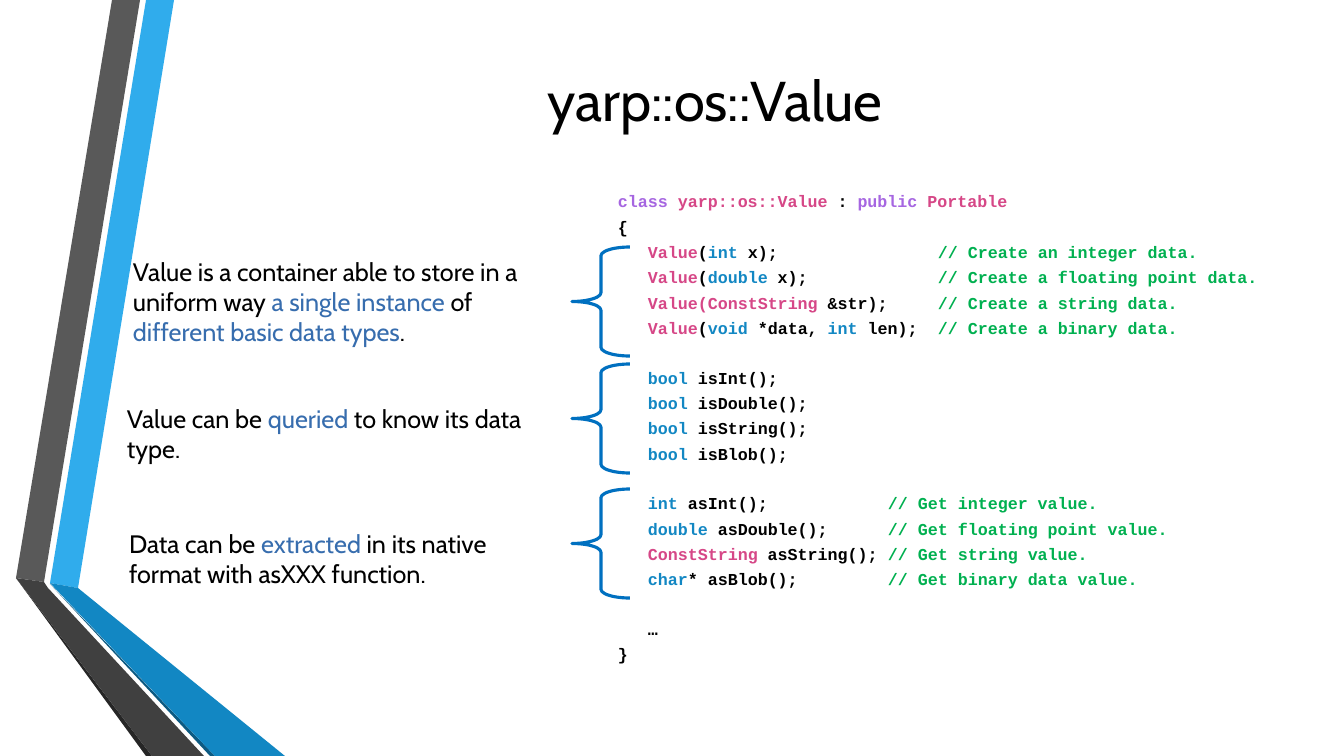
from lxml.etree import SubElement
from pptx import Presentation
from pptx.dml.color import RGBColor
from pptx.enum.shapes import MSO_SHAPE as Shape
from pptx.enum.text import MSO_ANCHOR as Anchor, PP_ALIGN as Align
from pptx.oxml.ns import qn
from pptx.util import Pt

EMU_PER_PX = 914400 / 100.8
CHAR_WIDTH = 10
LINE_GAP = 6.65
EMPTY_LINE = 17.43

BLACK, PURPLE, PINK = "000000", "A666E1", "D64787"
BLUE, GREEN, ACCENT = "1287C3", "00B050", "376DAE"
BRACE_BLUE = "0070C0"

RIBBONS = [
    ("30ACEC", [(50, 583), (78, 588), (174, 0), (146, 0)]),
    ("595959", [(140, 0), (112, 0), (16, 578), (44, 582)]),
    ("262626", [(16, 578), (146, 756), (152, 756)]),
    ("0C5A82", [(50, 584), (210, 756), (215, 756)]),
    ("1287C3", [(50, 583), (215, 756), (285, 756), (78, 588)]),
    ("404040", [(16, 578), (152, 756), (204, 756), (48, 588), (44, 582)]),
]

EXPLANATIONS = [
    ((118, 251, 453, 102), [
        ("Value is a container able to store in a uniform way ", BLACK),
        ("a single instance ", ACCENT), ("of ", BLACK),
        ("different basic data types", ACCENT), (".", BLACK)]),
    ((112, 398, 424, 72), [
        ("Value can be ", BLACK), ("queried", ACCENT),
        (" to know its data type.", BLACK)]),
    ((114, 523, 420, 72), [
        ("Data can be ", BLACK), ("extracted", ACCENT),
        (" in its native format with asXXX function.", BLACK)]),
]

BRACE_TOPS = [247, 364, 489]

# Each group: the character column of its comments, then its lines of runs.
CODE_GROUPS = [
    (32, [
        [("class ", PURPLE), ("yarp::os::Value ", PINK), (": ", BLACK),
         ("public ", PURPLE), ("Portable", PINK)],
        [("{", BLACK)],
        [("\tValue", PINK), ("(", BLACK), ("int ", BLUE), ("x);", BLACK),
         ("\t// Create an integer data.", GREEN)],
        [("\tValue", PINK), ("(", BLACK), ("double", BLUE), (" x);", BLACK),
         ("\t// Create a floating point data.", GREEN)],
        [("\tValue(ConstString ", PINK), ("&str);", BLACK),
         ("\t// Create a string data.", GREEN)],
        [("\tValue", PINK), ("(", BLACK), ("void ", BLUE), ("*data, ", BLACK),
         ("int ", BLUE), ("len);", BLACK),
         ("\t// Create a binary data.", GREEN)],
    ]),
    (27, [[("\tbool ", BLUE), (f"is{kind}();", BLACK)]
          for kind in ("Int", "Double", "String", "Blob")]),
    (27, [
        [("\tint ", BLUE), ("asInt();", BLACK),
         ("\t// Get integer value.", GREEN)],
        [("\tdouble ", BLUE), ("asDouble();", BLACK),
         ("\t// Get floating point value.", GREEN)],
        [("\tConstString ", PINK), ("asString();", BLACK),
         ("\t// Get string value.", GREEN)],
        [("\tchar", BLUE), ("* asBlob();", BLACK),
         ("\t// Get binary data value.", GREEN)],
    ]),
    (27, [[("\t…", BLACK)], [("}", BLACK)]]),
]


def px(length):
    return round(length * EMU_PER_PX)


def colour(hex_code):
    return RGBColor.from_string(hex_code)


def add_ribbon(slide, fill, points):
    builder = slide.shapes.build_freeform(*points[0], scale=EMU_PER_PX)
    builder.add_line_segments(points[1:], close=True)
    ribbon = builder.convert_to_shape()
    ribbon.shadow.inherit = False
    ribbon.fill.solid()
    ribbon.fill.fore_color.rgb = colour(fill)
    ribbon.line.fill.background()


def add_frame(slide, box, anchor=Anchor.TOP, left_inset=15):
    frame = slide.shapes.add_textbox(*map(px, box)).text_frame
    frame.word_wrap = True
    frame.vertical_anchor = anchor
    frame.margin_left = px(left_inset)
    return frame


def add_runs(paragraph, runs, font, size, bold=False):
    for text, hex_code in runs:
        run = paragraph.add_run()
        run.text = text
        run.font.name = font
        run.font.size = Pt(size)
        run.font.bold = bold
        run.font.color.rgb = colour(hex_code)


def set_tab_stops(paragraph, columns):
    """Put left tab stops at the given character columns."""
    stops = SubElement(paragraph._p.get_or_add_pPr(), qn("a:tabLst"))
    for column in columns:
        SubElement(stops, qn("a:tab"), pos=str(px(column * CHAR_WIDTH)), algn="l")


def add_title(slide, title):
    frame = add_frame(slide, (163, 2, 1104, 194), Anchor.MIDDLE, left_inset=10)
    heading = frame.paragraphs[0]
    heading.alignment = Align.CENTER
    add_runs(heading, [(title, BLACK)], "Cabin", 40)


def add_explanation(slide, box, runs):
    add_runs(add_frame(slide, box).paragraphs[0], runs, "Cabin", 18)


def add_code(slide, groups):
    frame = add_frame(slide, (603, 194, 691, 471), Anchor.MIDDLE)
    line = None
    for comment_column, lines in groups:
        for index, runs in enumerate(lines):
            starts_later_group = line is not None and index == 0
            line = frame.paragraphs[0] if line is None else frame.add_paragraph()
            line.line_spacing = 0.8
            line.space_before = Pt(EMPTY_LINE if starts_later_group else 0)
            line.space_after = Pt(LINE_GAP)
            set_tab_stops(line, (3, comment_column))
            add_runs(line, runs, "Courier New", 11.9, bold=True)


def add_brace(slide, top):
    brace = slide.shapes.add_shape(Shape.LEFT_BRACE, *map(px, (572, top, 58, 109)))
    brace.shadow.inherit = False
    brace.adjustments[0] = 0.15
    brace.fill.background()
    brace.line.color.rgb = colour(BRACE_BLUE)
    brace.line.width = Pt(2.25)


def main():
    deck = Presentation()
    deck.slide_width, deck.slide_height = px(1344), px(756)
    slide = deck.slides.add_slide(deck.slide_layouts[6])
    for fill, points in RIBBONS:
        add_ribbon(slide, fill, points)
    add_title(slide, "yarp::os::Value")
    add_code(slide, CODE_GROUPS)
    for box, runs in EXPLANATIONS:
        add_explanation(slide, box, runs)
    for top in BRACE_TOPS:
        add_brace(slide, top)
    deck.save("out.pptx")


if __name__ == "__main__":
    main()
